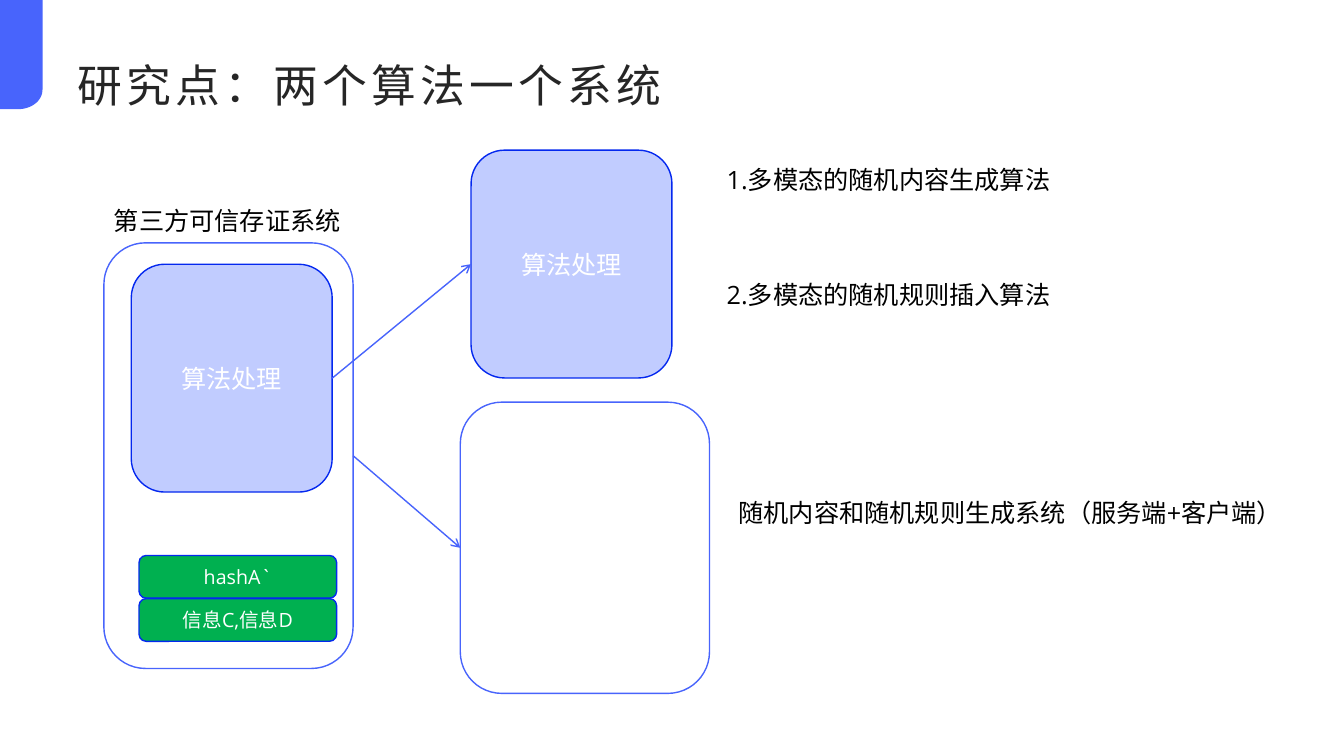
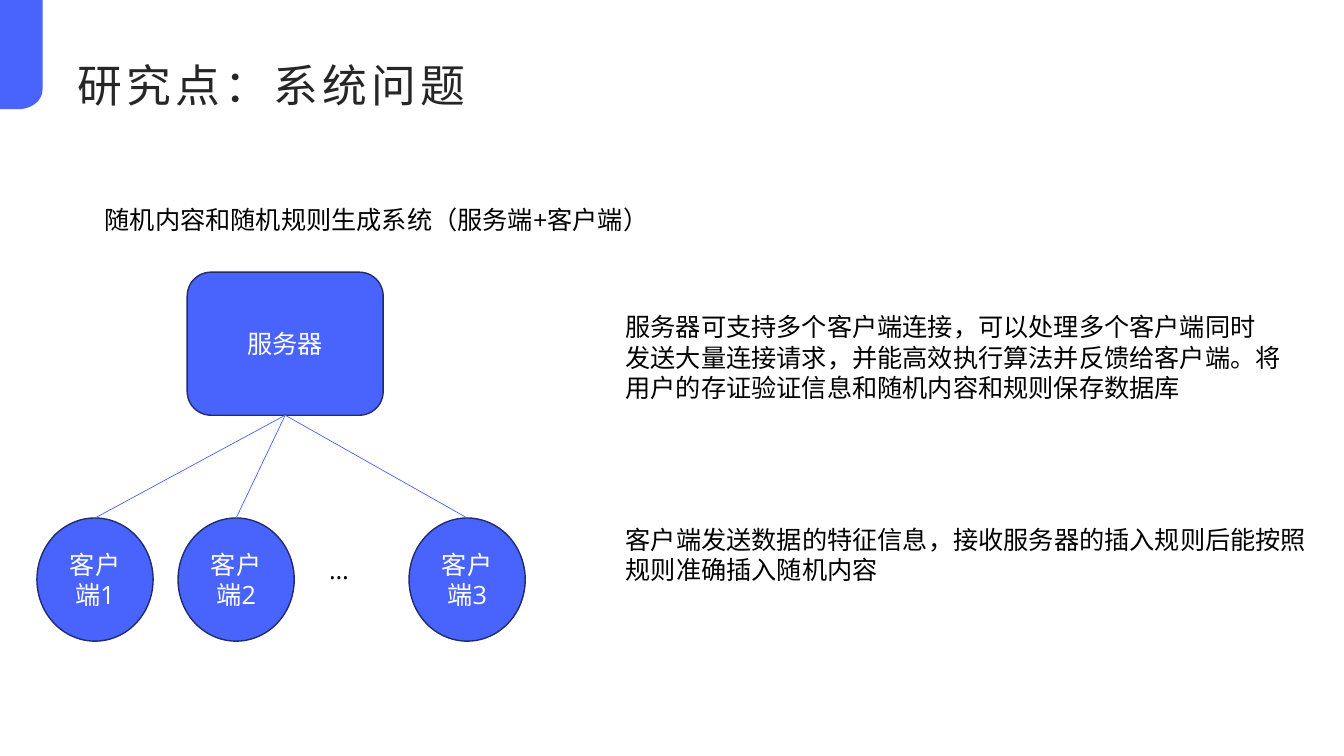
from pptx import Presentation
from pptx.dml.color import RGBColor
from pptx.enum.shapes import MSO_CONNECTOR as Connector, MSO_SHAPE as Shape
from pptx.enum.text import MSO_ANCHOR as Anchor, MSO_AUTO_SIZE as AutoSize, PP_ALIGN as Align
from pptx.oxml.ns import qn
from pptx.util import Pt
from lxml.etree import SubElement

BLUE = RGBColor(0x48, 0x64, 0xFC)
DEEP_BLUE = RGBColor(0x04, 0x28, 0xEF)
NAVY = RGBColor(0x20, 0x2C, 0x6E)
PALE_BLUE = RGBColor(0xC1, 0xCC, 0xFF)
GREEN = RGBColor(0x00, 0xB0, 0x50)
WHITE = RGBColor(0xFF, 0xFF, 0xFF)
BLACK = RGBColor(0x00, 0x00, 0x00)
TITLE_GREY = RGBColor(0x26, 0x26, 0x26)
TITLE_FONT, BODY_FONT = "Karla", "Open Sans"

# Connection sites shared by rectangles; the top site also fits an ellipse.
TOP, LEFT, BOTTOM, RIGHT = range(4)
SYSTEM_NAME = "随机内容和随机规则生成系统（服务端+客户端）"


def write_text(frame, text, *, font=BODY_FONT, size=18, color=BLACK,
               align=Align.LEFT, anchor=Anchor.TOP, wrap=True, spacing=0):
    """Fill the frame, one paragraph for each line of text."""
    frame.word_wrap = wrap
    frame.vertical_anchor = anchor
    for index, line in enumerate(text.split("\n")):
        para = frame.add_paragraph() if index else frame.paragraphs[0]
        para.alignment = align
        span = para.add_run()
        span.text = line
        span.font.name = font
        span.font.size = Pt(size)
        span.font.color.rgb = color
        if spacing:
            span.font._element.set("spc", str(spacing * 100))


def curve_points(start, control_1, control_2, end, steps=16):
    """Points along a cubic curve, without its start."""
    points = []
    for step in range(1, steps + 1):
        t = step / steps
        weights = ((1 - t) ** 3, 3 * t * (1 - t) ** 2, 3 * t * t * (1 - t), t ** 3)
        corners = (start, control_1, control_2, end)
        points.append(tuple(sum(weight * corner[axis] for weight, corner in zip(weights, corners))
                            for axis in (0, 1)))
    return points


class Deck:
    def __init__(self):
        self.file = Presentation()
        self.file.slide_width, self.file.slide_height = Pt(960), Pt(540)
        self.page = None

    def start_page(self, title):
        self.page = self.file.slides.add_slide(self.file.slide_layouts[6])
        self.corner_band()
        self.text(title, 48, 30, 864, 53.5, grow=False, font=TITLE_FONT, size=32,
                  color=TITLE_GREY, anchor=Anchor.BOTTOM, spacing=3)

    def corner_band(self):
        width, height = 30.4, 78
        bend = curve_points((13, height), (22.5, height), (width, 72), (width, 64))
        outline = [(0, height), (13, height), *bend, (width, 0)]
        builder = self.page.shapes.build_freeform(0, 0)
        builder.add_line_segments([(Pt(x), Pt(y)) for x, y in outline], close=True)
        band = builder.convert_to_shape()
        band.shadow.inherit = False
        band.fill.solid()
        band.fill.fore_color.rgb = BLUE
        band.line.fill.background()

    def text(self, text, left, top, width, height=29, grow=True, **text_format):
        box = self.page.shapes.add_textbox(Pt(left), Pt(top), Pt(width), Pt(height))
        write_text(box.text_frame, text, **text_format)
        if grow:
            box.text_frame.auto_size = AutoSize.SHAPE_TO_FIT_TEXT

    def box(self, text, left, top, width, height, fill=None, line=BLUE,
            kind=Shape.ROUNDED_RECTANGLE, size=18):
        box = self.page.shapes.add_shape(kind, Pt(left), Pt(top), Pt(width), Pt(height))
        box.shadow.inherit = False
        if fill is None:
            box.fill.background()
        else:
            box.fill.solid()
            box.fill.fore_color.rgb = fill
        box.line.color.rgb = line
        box.line.width = Pt(1)
        if text:
            write_text(box.text_frame, text, size=size, color=WHITE,
                       align=Align.CENTER, anchor=Anchor.MIDDLE)
        return box

    def link(self, source, source_site, target, target_site, width=1, arrow=False):
        link = self.page.shapes.add_connector(Connector.STRAIGHT, 0, 0, 0, 0)
        link.begin_connect(source, source_site)
        link.end_connect(target, target_site)
        link.line.color.rgb = BLUE
        link.line.width = Pt(width)
        if arrow:
            SubElement(link.line._get_or_add_ln(), qn("a:tailEnd"), type="arrow")
        SubElement(link._element.spPr, qn("a:effectLst"))


def algorithms_page(deck):
    deck.start_page("研究点：两个算法一个系统")
    evidence_system = deck.box("", 74.2, 173.5, 178, 304)
    deck.text("第三方可信存证系统", 72.7, 143.3, 179.3, align=Align.CENTER)
    for row, label in enumerate(("hashA`", "信息C,信息D")):
        deck.box(label, 99.3, 396.8 + row * 30.8, 141.2, 30.5, GREEN, DEEP_BLUE, size=14)
    inner, outer = [deck.box("算法处理", left, top, 143.5, 162.7, PALE_BLUE, DEEP_BLUE)
                    for left, top in ((93.8, 188.8), (336.5, 107.3))]
    for row, label in enumerate(("1.多模态的随机内容生成算法", "2.多模态的随机规则插入算法")):
        deck.text(label, 512, 113.8 + row * 82, 358)
    generating_system = deck.box("", 328.8, 287.3, 178, 208)
    deck.link(inner, RIGHT, outer, LEFT, arrow=True)
    deck.link(evidence_system, RIGHT, generating_system, LEFT, arrow=True)
    deck.text(SYSTEM_NAME, 520.5, 351.4, 412)


def system_page(deck):
    deck.start_page("研究点：系统问题")
    deck.text(SYSTEM_NAME, 67.7, 142.6, 412)
    server = deck.box("服务器", 133.7, 194.4, 140, 102.2, BLUE, NAVY)
    for number, left in enumerate((26.4, 127.2, 292.2), start=1):
        client = deck.box(f"客户端{number}", left, 370, 83, 88, BLUE, NAVY, Shape.OVAL)
        deck.link(server, BOTTOM, client, TOP, width=0.5)
    deck.text("…", 228, 392.4, 64)
    deck.text("服务器可支持多个客户端连接，可以处理多个客户端同时\n"
              "发送大量连接请求，并能高效执行算法并反馈给客户端。将\n"
              "用户的存证验证信息和随机内容和规则保存数据库",
              439.8, 219, 487.5, 72.7, wrap=False)
    deck.text("客户端发送数据的特征信息，接收服务器的插入规则后能按照\n"
              "规则准确插入随机内容",
              439.8, 371, 505.5, 51, wrap=False)


def main():
    deck = Deck()
    algorithms_page(deck)
    system_page(deck)
    deck.file.save("out.pptx")


if __name__ == "__main__":
    main()
